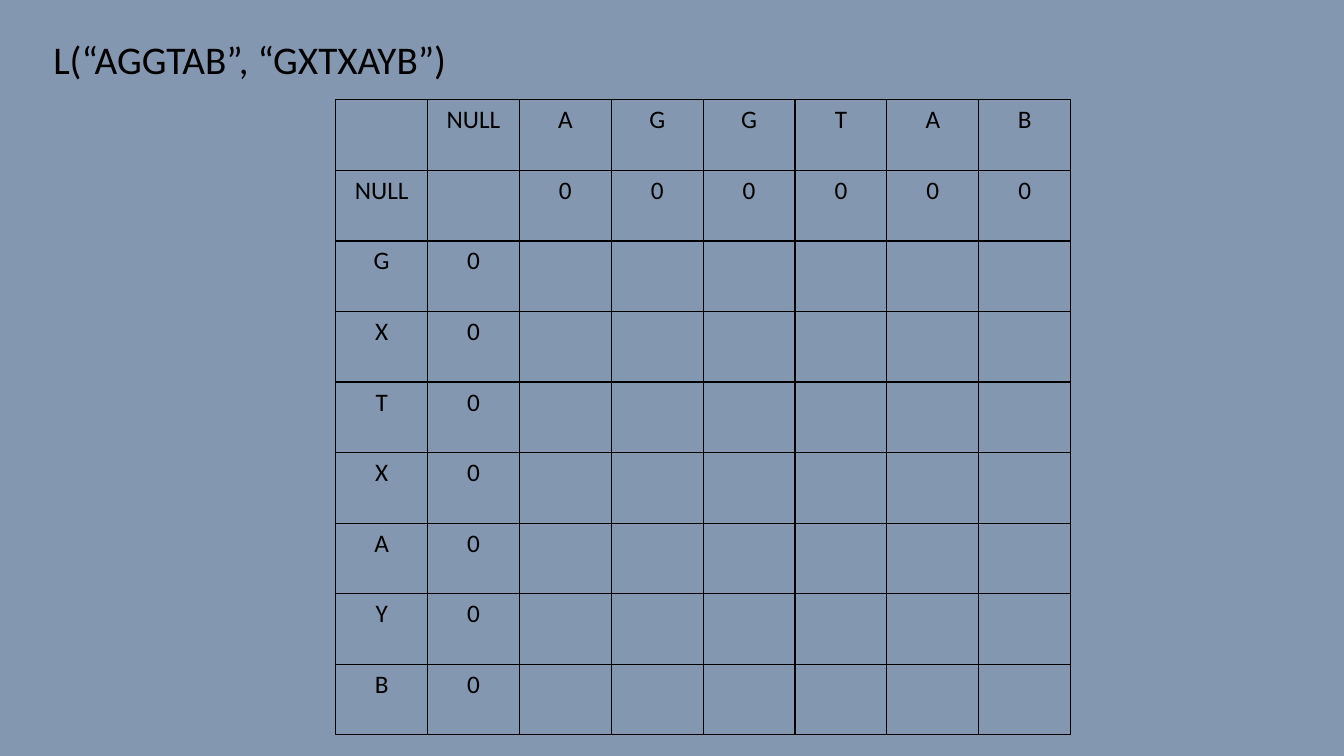
from lxml import etree
from pptx import Presentation
from pptx.dml.color import RGBColor
from pptx.enum.text import MSO_AUTO_SIZE, PP_ALIGN
from pptx.oxml.ns import qn
from pptx.util import Inches, Pt

CENTER = PP_ALIGN.CENTER
FIT_SHAPE = MSO_AUTO_SIZE.SHAPE_TO_FIT_TEXT
BLACK = RGBColor(0x00, 0x00, 0x00)
SLATE = RGBColor(0x84, 0x97, 0xB0)
FONT = "Calibri"
FIRST_WORD = "AGGTAB"
SECOND_WORD = "GXTXAYB"


def set_font(paragraph, size):
    paragraph.font.name = FONT
    paragraph.font.size = Pt(size)
    paragraph.font.color.rgb = BLACK


def add_borders(cell):
    properties = cell._tc.get_or_add_tcPr()
    for position, side in enumerate(("a:lnL", "a:lnR", "a:lnT", "a:lnB")):
        line = etree.Element(qn(side), w=str(Pt(1)))
        fill = etree.SubElement(line, qn("a:solidFill"))
        etree.SubElement(fill, qn("a:srgbClr"), val=str(BLACK))
        properties.insert(position, line)


def add_heading(slide, left, top, width, height):
    heading = slide.shapes.add_textbox(left, top, width, height)
    frame = heading.text_frame
    frame.word_wrap = True
    frame.auto_size = FIT_SHAPE
    frame.text = f"L(“{FIRST_WORD}”, “{SECOND_WORD}”)"
    set_font(frame.paragraphs[0], 28)


def add_lcs_table(slide, left, top, width, height):
    # Header row, zero row, then one row per letter of the second word
    blanks = [""] * len(FIRST_WORD)
    rows = [["", "NULL", *FIRST_WORD],
            ["NULL", "", *("0" for _ in FIRST_WORD)]]
    rows += [[letter, "0", *blanks] for letter in SECOND_WORD]

    grid = slide.shapes.add_table(
        len(rows), len(rows[0]), left, top, width, height).table
    grid.first_row = False
    grid.horz_banding = False
    for r, row in enumerate(rows):
        for c, value in enumerate(row):
            cell = grid.cell(r, c)
            cell.text = value
            cell.fill.background()
            add_borders(cell)
            paragraph = cell.text_frame.paragraphs[0]
            paragraph.alignment = CENTER
            set_font(paragraph, 18)


def main():
    deck = Presentation()
    deck.slide_width = Inches(13.33)
    deck.slide_height = Inches(7.5)
    slide = deck.slides.add_slide(deck.slide_layouts[6])
    background = slide.background.fill
    background.solid()
    background.fore_color.rgb = SLATE

    add_lcs_table(slide, Inches(3.33), Inches(0.99), Inches(7.29), Inches(6.3))
    add_heading(slide, Inches(0.43), Inches(0.3), Inches(5.09), Inches(0.57))
    deck.save("out.pptx")


if __name__ == "__main__":
    main()
